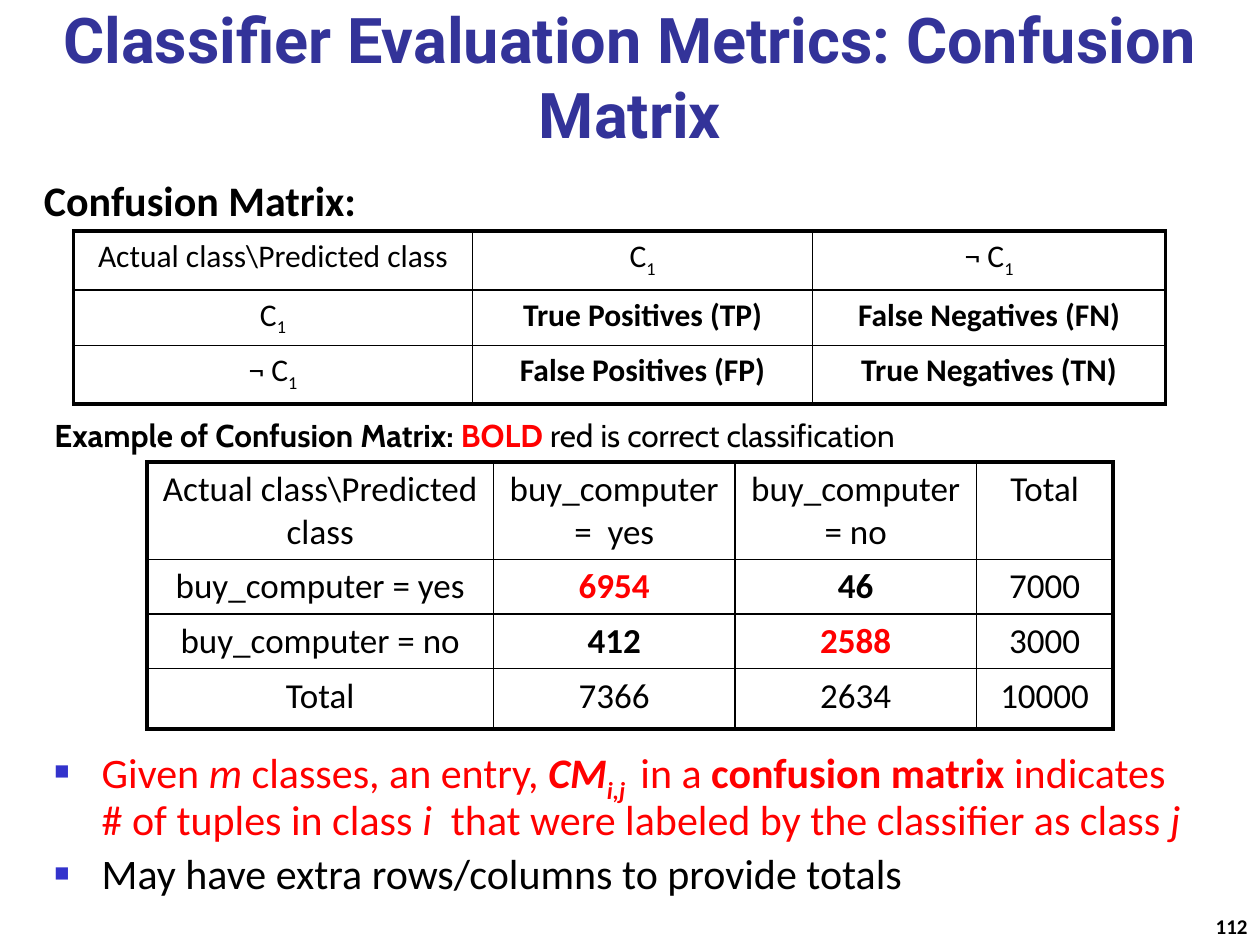
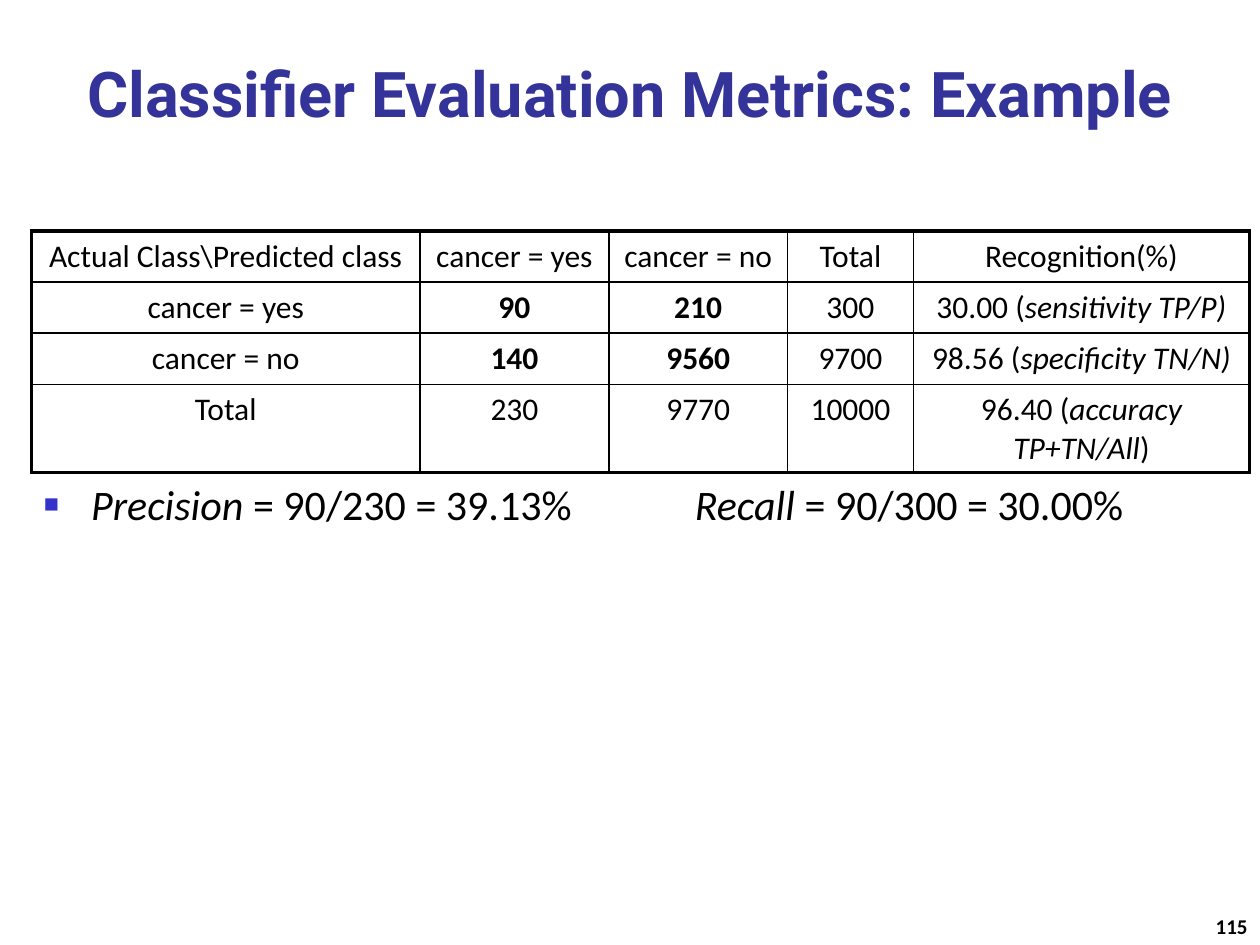
from pptx import Presentation
from pptx.util import Pt
from pptx.dml.color import RGBColor
from pptx.enum.text import MSO_ANCHOR as Anchor, PP_ALIGN as Align
from lxml.etree import SubElement
from pptx.oxml.ns import qn

NAVY = RGBColor(0x33, 0x33, 0x99)
BLUE = RGBColor(0x33, 0x33, 0xCC)
RED = RGBColor(0xFF, 0x00, 0x00)
BLACK = RGBColor(0x00, 0x00, 0x00)
HEAD, BODY, NOTE = "Roboto", "Calibri", "Cabin"
THIN, THICK = 1, 2.25


def write(para, parts, size, font=BODY, color=BLACK):
    # marks: b bold, i italic, s subscript, r red
    for text, marks in parts:
        run = para.add_run()
        run.text = text
        run.font.name = font
        run.font.size = Pt(size)
        run.font.bold = "b" in marks
        run.font.italic = "i" in marks
        run.font.color.rgb = RED if "r" in marks else color
        if "s" in marks:
            run.font._element.set("baseline", "-25000")


def box(slide, at, parts, size, font=BODY, color=BLACK, align=Align.LEFT, anchor=Anchor.TOP):
    frame = slide.shapes.add_textbox(*[Pt(n) for n in at]).text_frame
    frame.word_wrap = True
    frame.vertical_anchor = anchor
    frame.paragraphs[0].alignment = align
    write(frame.paragraphs[0], parts, size, font, color)


deck = Presentation()
deck.slide_width, deck.slide_height = Pt(720), Pt(540)

yes = [("C", ""), ("1", "s")]
no = [("¬ C", ""), ("1", "s")]

pages = [
    {
        "title": "Classifier Evaluation Metrics: Confusion Matrix",
        "top": (0, 0, 720, 90),
        "num": "112",
        "grids": [
            {
                "at": (42, 132), "size": 18,
                "cols": [228, 194.4, 201.6], "rows": [33.6, 30.4, 33.6],
                "cells": [
                    ["Actual class\\Predicted class", yes, no],
                    [yes, [("True Positives (TP)", "b")], [("False Negatives (FN)", "b")]],
                    [no, [("False Positives (FP)", "b")], [("True Negatives (TN)", "b")]],
                ],
            },
            {
                "at": (84, 264), "size": 20,
                "cols": [198, 138, 138, 78], "rows": [55.6, 31.2, 31.2, 34.6],
                "cells": [
                    ["Actual class\\Predicted class", "buy_computer =  yes", "buy_computer = no", "Total"],
                    ["buy_computer = yes", [("6954", "br")], [("46", "b")], "7000"],
                    ["buy_computer = no", [("412", "b")], [("2588", "br")], "3000"],
                    ["Total", "7366", "2634", "10000"],
                ],
            },
        ],
        "list": (24, 423.6, 666, 99), "space": 0.9,
        "items": [
            [("Given", "r"), (" m", "ri"), (" classes, an entry, ", "r"), ("CM", "rbi"),
             ("i,j ", "rbis"), (" in a ", "r"), ("confusion matrix", "rb"),
             (" indicates # of tuples in class ", "r"), ("i", "ri"),
             ("  that were labeled by the classifier as class ", "r"), ("j", "ri")],
            [("May have extra rows/columns to provide totals", "")],
        ],
    },
    {
        "title": "Classifier Evaluation Metrics: Example",
        "top": (0, 18, 720, 60),
        "num": "115",
        "grids": [
            {
                "at": (18, 132), "size": 18,
                "cols": [222, 108, 102, 72, 192], "rows": [29.2, 29.2, 29.2, 50.4],
                "cells": [
                    ["Actual Class\\Predicted class", "cancer = yes", "cancer = no", "Total", "Recognition(%)"],
                    ["cancer = yes", [("90", "b")], [("210", "b")], "300",
                     [("30.00 (", ""), ("sensitivity TP/P)", "i")]],
                    ["cancer = no", [("140", "b")], [("9560", "b")], "9700",
                     [("98.56 (", ""), ("specificity TN/N)", "i")]],
                    ["Total", "230", "9770", "10000",
                     [("96.40 (", ""), ("accuracy TP+TN/All", "i"), (")", "")]],
                ],
            },
        ],
        "list": (18, 270, 666, 48), "space": 1,
        "items": [
            [("Precision", "i"), (" = 90/230 = 39.13%\t", ""), ("Recall", "i"),
             (" = 90/300 = 30.00%", "")],
        ],
    },
]

for page in pages:
    slide = deck.slides.add_slide(deck.slide_layouts[6])
    box(slide, page["top"], [(page["title"], "b")], 36, HEAD, NAVY, Align.CENTER, Anchor.BOTTOM)
    box(slide, (570, 510, 150, 30), [(page["num"], "b")], 12,
        align=Align.RIGHT, anchor=Anchor.BOTTOM)

    for grid in page["grids"]:
        cols, rows = grid["cols"], grid["rows"]
        dims = [Pt(n) for n in (*grid["at"], sum(cols), sum(rows))]
        table = slide.shapes.add_table(len(rows), len(cols), *dims).table
        table.first_row = table.horz_banding = False
        for col, width in zip(table.columns, cols):
            col.width = Pt(width)
        for r, line in enumerate(grid["cells"]):
            table.rows[r].height = Pt(rows[r])
            for c, parts in enumerate(line):
                cell = table.cell(r, c)
                para = cell.text_frame.paragraphs[0]
                para.alignment = Align.CENTER
                write(para, [(parts, "")] if isinstance(parts, str) else parts, grid["size"])
                props = cell._tc.get_or_add_tcPr()
                edges = {"L": c == 0, "R": c == len(cols) - 1,
                         "T": r == 0, "B": r == len(rows) - 1}
                for side, outer in edges.items():
                    edge = SubElement(props, qn("a:ln" + side), w=str(Pt(THICK if outer else THIN)))
                    fill = SubElement(edge, qn("a:solidFill"))
                    SubElement(fill, qn("a:srgbClr"), val=str(BLACK))
                cell.fill.background()

    frame = slide.shapes.add_textbox(*[Pt(n) for n in page["list"]]).text_frame
    frame.word_wrap = True
    for i, parts in enumerate(page["items"]):
        para = frame.add_paragraph() if i else frame.paragraphs[0]
        para.line_spacing = page["space"]
        para.space_before = Pt(4.8 if i else 0)
        write(para, parts, 24)
        props = para._p.get_or_add_pPr()
        props.set("marL", str(Pt(27)))
        props.set("indent", str(Pt(-27)))
        tint = SubElement(props, qn("a:buClr"))
        SubElement(tint, qn("a:srgbClr"), val=str(BLUE))
        SubElement(props, qn("a:buSzPct"), val="60000")
        SubElement(props, qn("a:buFont"), typeface="Arial")
        SubElement(props, qn("a:buChar"), char="■")
        if any("\t" in text for text, marks in parts):
            tabs = SubElement(props, qn("a:tabLst"))
            SubElement(tabs, qn("a:tab"), pos=str(Pt(372)), algn="l")

first = deck.slides[0]
box(first, (18, 96, 205.2, 36), [("Confusion Matrix:", "b")], 24)
box(first, (24, 234, 556.8, 28.8),
    [("Example of Confusion Matrix: ", "b"), ("BOLD ", "br"),
     ("red is correct classification", "")], 18, NOTE)

deck.save("out.pptx")
